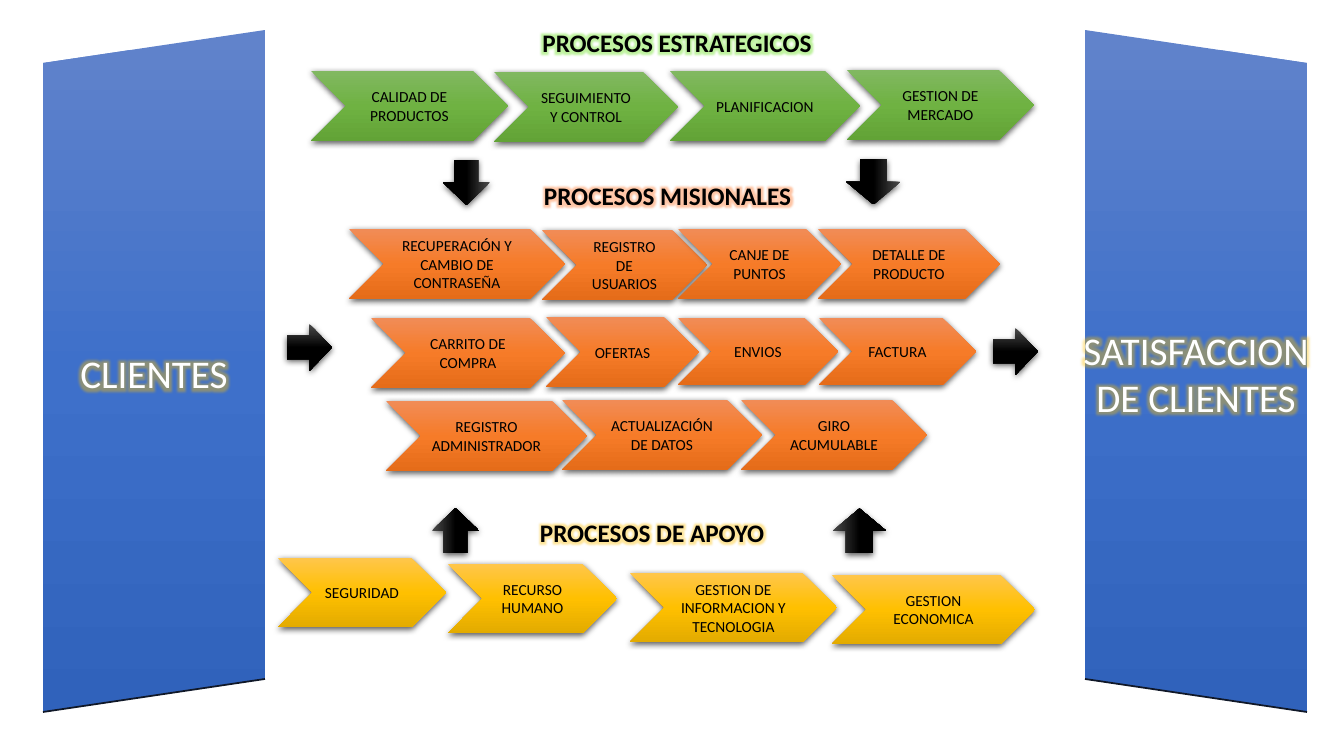
from lxml.etree import SubElement
from pptx import Presentation
from pptx.dml.color import RGBColor
from pptx.enum.shapes import MSO_CONNECTOR as Link, MSO_SHAPE as Preset
from pptx.enum.text import MSO_ANCHOR as Anchor, PP_ALIGN as Align
from pptx.oxml.ns import qn
from pptx.util import Emu, Pt

PX = 914400 / 100.8


def px(*lengths):
    return [Emu(round(length * PX)) for length in lengths]


def rgb(code):
    return RGBColor.from_string(code)


def add_color(parent, code, alpha=100):
    color = SubElement(parent, qn("a:srgbClr"), val=code)
    if alpha < 100:
        SubElement(color, qn("a:alpha"), val=str(alpha * 1000))


def write(frame, text, size=11, color="000000", bold=False, align=Align.CENTER,
          anchor=Anchor.MIDDLE, glow=None, inset=None):
    frame.word_wrap = True
    frame.vertical_anchor = anchor
    if inset is not None:
        frame.margin_left = frame.margin_right = px(inset)[0]
    paragraph = frame.paragraphs[0]
    paragraph.alignment = align
    run = paragraph.add_run()
    run.text = text
    font = run.font
    font.size, font.bold, font.name = Pt(size), bold, "Calibri"
    font.color.rgb = rgb(color)
    if glow:
        properties = run._r.get_or_add_rPr()
        effects = SubElement(properties, qn("a:effectLst"))
        halo = SubElement(effects, qn("a:glow"), rad=str(Pt(11)))
        add_color(halo, glow, 40)
        properties.find(qn("a:solidFill")).addnext(effects)


class ProcessMap:
    BLUE = "6183CB", "3E70CA", "3062BB"
    GREEN = "81B861", "6FB242", "62A336"
    ORANGE = "F18C57", "F67B28", "E56C19"
    GOLD = "FFC64B", "FFC000", "E3AB00"
    BLACK = "4B4B4B", "000000", "000000"

    def __init__(self, slide):
        self.shapes = slide.shapes

    def paint(self, shape, colors, shadow=True):
        shape.line.fill.background()
        shape.shadow.inherit = False
        shape.fill.gradient()
        shape.fill.gradient_angle = 270
        properties = shape.element.spPr
        stops = properties.find(".//" + qn("a:gsLst"))
        stops.clear()
        for position, color in zip((0, 50, 100), colors):
            add_color(SubElement(stops, qn("a:gs"), pos=str(position * 1000)), color)
        if shadow:
            outer = SubElement(properties.find(qn("a:effectLst")), qn("a:outerShdw"),
                               blurRad=str(Pt(4.5)), dist=str(Pt(1.5)),
                               dir="5400000", algn="ctr", rotWithShape="0")
            add_color(outer, "000000", 63)

    def panel(self, corners, text):
        builder = self.shapes.build_freeform(*corners[0], scale=PX)
        builder.add_line_segments(corners[1:], close=True)
        self.paint(builder.convert_to_shape(), self.BLUE, shadow=False)
        self.edge(*corners[2], *corners[3])
        center = (corners[0][0] + corners[1][0]) / 2
        label = self.shapes.add_textbox(*px(center - 130, 313, 260, 120))
        write(label.text_frame, text, size=28, color="FFFFFF", glow="FFC000", inset=0)

    def edge(self, *ends):
        edge = self.shapes.add_connector(Link.STRAIGHT, *px(*ends))
        edge.line.color.rgb = rgb("101828")
        edge.line.width = Pt(1.25)
        SubElement(edge.element.spPr, qn("a:effectLst"))

    def title(self, text, left, top, width, align, glow):
        box = self.shapes.add_textbox(*px(left, top, width, 40))
        write(box.text_frame, text, size=18, bold=True, align=align,
              anchor=Anchor.TOP, glow=glow)

    def step(self, text, left, top, width, height, colors):
        chevron = self.shapes.add_shape(Preset.CHEVRON, *px(left, top, width, height))
        self.paint(chevron, colors)
        write(chevron.text_frame, text)

    def arrow(self, left, top, height, rotation):
        arrow = self.shapes.add_shape(Preset.RIGHT_ARROW, *px(left, top, 45, height))
        arrow.rotation = rotation
        self.paint(arrow, self.BLACK)


deck = Presentation()
deck.slide_width, deck.slide_height = px(1344, 756)
process_map = ProcessMap(deck.slides.add_slide(deck.slide_layouts[6]))

process_map.panel([(43, 63), (265, 30), (265, 679), (43, 712)], "CLIENTES")
process_map.panel([(1085, 30), (1307, 63), (1307, 712), (1085, 679)],
                  "SATISFACCION DE CLIENTES")

process_map.title("PROCESOS ESTRATEGICOS", 382, 22, 590, Align.CENTER, "60E010")
process_map.title("PROCESOS MISIONALES", 534, 175, 731, Align.LEFT, "FF7020")
process_map.title("PROCESOS DE APOYO", 530, 512, 524, Align.LEFT, "FFC000")

step_rows = [
    (ProcessMap.GREEN, 70, [
        ("CALIDAD DE PRODUCTOS", 311, 71, 197),
        ("SEGUIMIENTO Y CONTROL", 494, 72, 184),
        ("PLANIFICACION", 670, 71, 190),
        ("GESTION DE MERCADO", 847, 70, 187)]),
    (ProcessMap.ORANGE, 70, [
        ("RECUPERACIÓN Y CAMBIO DE CONTRASEÑA", 349, 229, 216),
        ("REGISTRO DE USUARIOS", 542, 230, 165),
        ("CANJE DE PUNTOS", 678, 229, 163),
        ("DETALLE DE PRODUCTO", 818, 229, 182)]),
    (ProcessMap.ORANGE, 70, [
        ("CARRITO DE COMPRA", 371, 318, 194),
        ("OFERTAS", 546, 317, 153)]),
    (ProcessMap.ORANGE, 67, [
        ("ENVIOS", 678, 318, 160),
        ("FACTURA", 819, 318, 157)]),
    (ProcessMap.ORANGE, 70, [
        ("REGISTRO ADMINISTRADOR", 386, 401, 201),
        ("ACTUALIZACIÓN DE DATOS", 562, 400, 200),
        ("GIRO ACUMULABLE", 741, 400, 186)]),
    (ProcessMap.GOLD, 69, [
        ("SEGURIDAD", 278, 558, 168),
        ("RECURSO HUMANO", 448, 564, 169),
        ("GESTION DE INFORMACION Y TECNOLOGIA", 630, 573, 207),
        ("GESTION ECONOMICA", 832, 575, 203)]),
]
for colors, height, steps in step_rows:
    for text, left, top, width in steps:
        process_map.step(text, left, top, width, height, colors)

for left, top, height, rotation in [
        (851, 155, 54, 90), (444, 159, 47, 90),
        (433, 507, 47, 270), (837, 504, 54, 270),
        (287, 324, 47, 0), (993, 328, 47, 0)]:
    process_map.arrow(left, top, height, rotation)

deck.save("out.pptx")
